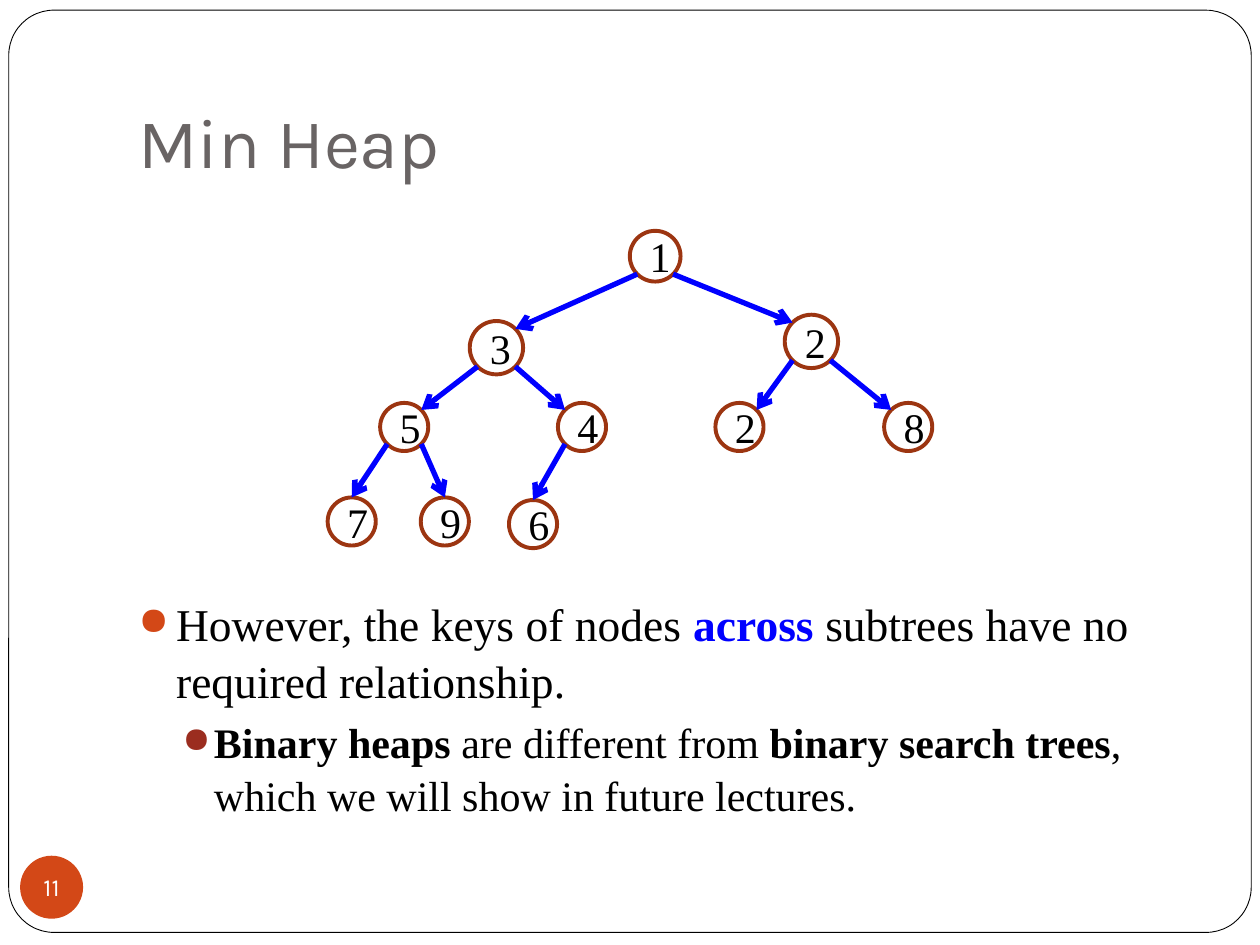
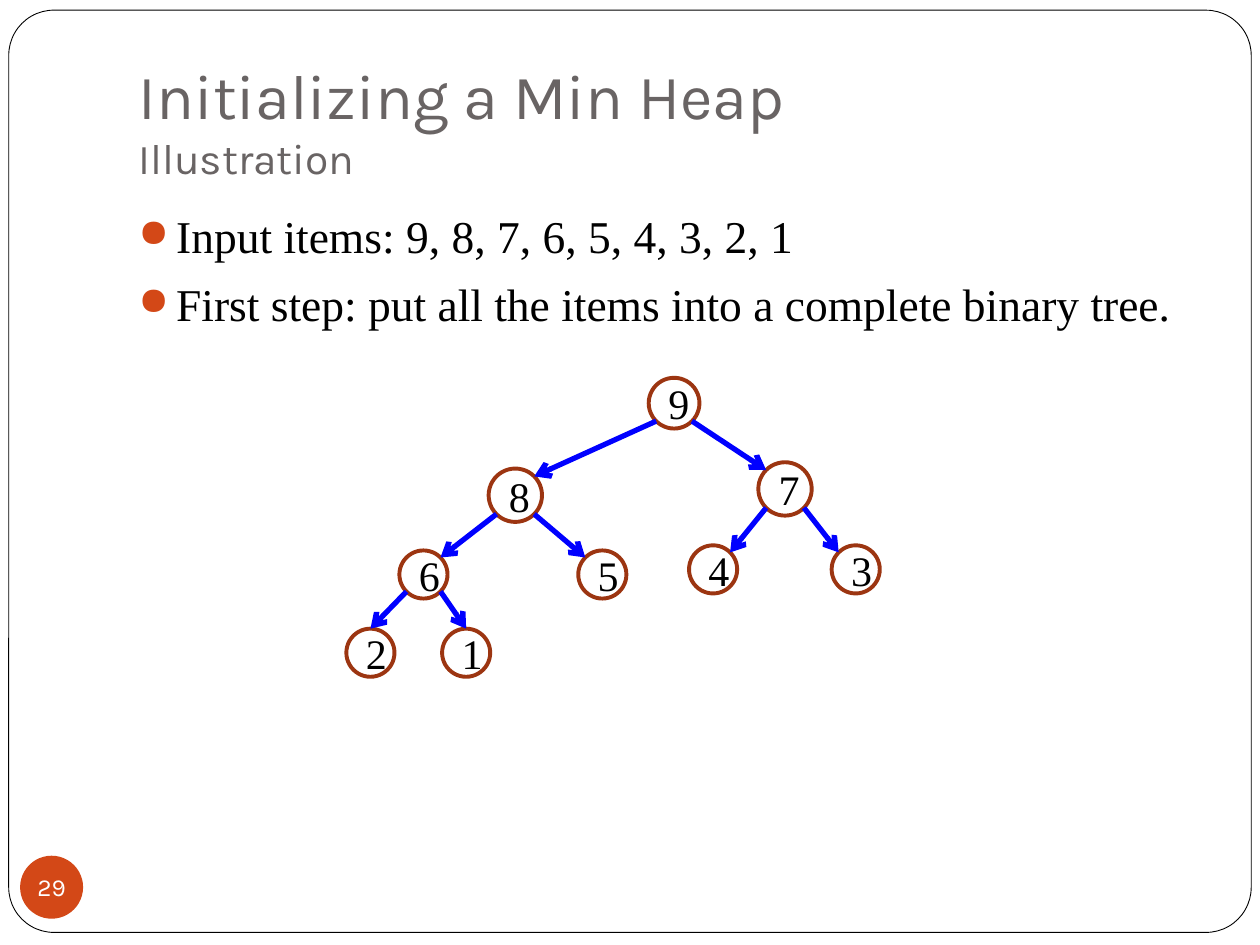
from collections import namedtuple
from dataclasses import dataclass
from math import sqrt

from lxml.etree import SubElement
from pptx import Presentation
from pptx.dml.color import RGBColor as Rgb
from pptx.enum.shapes import MSO_CONNECTOR as Connector, MSO_SHAPE as Preset
from pptx.enum.text import MSO_ANCHOR as Anchor, MSO_AUTO_SIZE as AutoSize, PP_ALIGN as Align
from pptx.oxml.ns import qn
from pptx.util import Pt

Box = namedtuple("Box", "left top width height")
Node = namedtuple("Node", "key x y")
Bullet = namedtuple("Bullet", "margin hanging space size color")


@dataclass(frozen=True)
class Theme:
    heading_font: str = "Karla"
    body_font: str = "Times New Roman"
    white: str = "FFFFFF"
    black: str = "000000"
    heading: str = "696464"
    accent: str = "D34817"
    node_line: str = "9C3511"
    blue: str = "0000FF"
    title_size: float = 40
    long_title_size: float = 36
    subtitle_size: float = 24.3
    key_size: float = 24
    number_size: float = 14
    line_spacing: float = 1.05
    bullets: tuple = (
        Bullet(21.6, 21.6, 5.8, 26, "D34817"),
        Bullet(43.2, 18, 3.7, 24, "9B2D1F"),
    )
    node_sizes: tuple = (29, 30.5, 27.5, 27.5)


THEME = Theme()
FRAME = Box(5, 5.8, 710, 527)
TITLE = Box(72, 21.6, 612, 90)
BADGE = Box(11.5, 489, 36, 36)


def apply(target, **values):
    for name, value in values.items():
        setattr(target, name, value)


def in_points(box):
    return [Pt(value) for value in box]


def add_run(paragraph, text, font_name, size, color, bold=False):
    run = paragraph.add_run()
    run.text = text
    apply(run.font, name=font_name, size=Pt(size), bold=bold)
    run.font.color.rgb = Rgb.from_string(color)


def add_preset(shapes, preset, box, fill=None, line=None, line_width=0):
    shape = shapes.add_shape(preset, *in_points(box))
    shape.shadow.inherit = False
    for form, color in ((shape.fill, fill), (shape.line.fill, line)):
        if color:
            form.solid()
            form.fore_color.rgb = Rgb.from_string(color)
        else:
            form.background()
    if line:
        shape.line.width = Pt(line_width)
    return shape


def add_frame(slide, box):
    frame = add_preset(slide.shapes, Preset.ROUNDED_RECTANGLE, box,
                       THEME.white, THEME.black, 0.5)
    frame.adjustments[0] = 0.049
    slide.shapes.title._element.addprevious(frame._element)


def set_title(slide, box, lines):
    title = slide.shapes.title
    apply(title, **dict(zip(box._fields, in_points(box))))
    apply(title.text_frame, auto_size=AutoSize.NONE, word_wrap=True,
          vertical_anchor=Anchor.BOTTOM, margin_left=Pt(7.2), margin_right=Pt(7.2),
          margin_top=Pt(3.6), margin_bottom=Pt(7.2))
    paragraph = title.text_frame.paragraphs[0]
    paragraph.alignment = Align.LEFT
    for index, (text, size) in enumerate(lines):
        if index:
            paragraph.add_line_break()
        add_run(paragraph, text, THEME.heading_font, size, THEME.heading)


def add_badge(slide, box, number):
    badge = add_preset(slide.shapes, Preset.OVAL, box, THEME.accent)
    apply(badge.text_frame, word_wrap=False, vertical_anchor=Anchor.MIDDLE,
          margin_left=0, margin_right=0, margin_top=0, margin_bottom=0)
    paragraph = badge.text_frame.paragraphs[0]
    paragraph.alignment = Align.CENTER
    add_run(paragraph, str(number), THEME.heading_font, THEME.number_size, THEME.white)


def set_bullet(paragraph, bullet):
    properties = paragraph._p.get_or_add_pPr()
    properties.set("marL", str(Pt(bullet.margin)))
    properties.set("indent", str(-Pt(bullet.hanging)))
    color = SubElement(properties, qn("a:buClr"))
    SubElement(color, qn("a:srgbClr"), val=bullet.color)
    SubElement(properties, qn("a:buSzPct"), val="85000")
    SubElement(properties, qn("a:buChar"), char="●")


def add_body(slide, box, items):
    text_frame = slide.shapes.add_textbox(*in_points(box)).text_frame
    text_frame.word_wrap = True
    for index, (level, runs) in enumerate(items):
        paragraph = text_frame.add_paragraph() if index else text_frame.paragraphs[0]
        bullet = THEME.bullets[level]
        apply(paragraph, level=level, space_before=Pt(bullet.space),
              line_spacing=THEME.line_spacing)
        set_bullet(paragraph, bullet)
        for text, color, bold in runs:
            add_run(paragraph, text, THEME.body_font, bullet.size, color, bold)


def add_node(shapes, node, diameter):
    box = Box(node.x - diameter / 2, node.y - diameter / 2, diameter, diameter)
    circle = add_preset(shapes, Preset.OVAL, box, line=THEME.node_line, line_width=2.25)
    apply(circle.text_frame, word_wrap=True, vertical_anchor=Anchor.MIDDLE)
    paragraph = circle.text_frame.paragraphs[0]
    paragraph.alignment = Align.CENTER
    add_run(paragraph, str(node.key), THEME.body_font, THEME.key_size, THEME.black)


def add_arrow(shapes, start, end):
    arrow = shapes.add_connector(Connector.STRAIGHT, *in_points(start + end))
    arrow.line.color.rgb = Rgb.from_string(THEME.blue)
    arrow.line.width = Pt(3)
    SubElement(arrow.line._get_or_add_ln(), qn("a:tailEnd"), type="arrow")
    SubElement(arrow._element.spPr, qn("a:effectLst"))


def add_heap(slide, left, top, nodes):
    shapes = slide.shapes.add_group_shape().shapes
    placed = [Node(key, left + x, top + y) for key, x, y in nodes]
    levels = [(index + 1).bit_length() - 1 for index in range(len(placed))]
    for node, level in zip(placed, levels):
        add_node(shapes, node, THEME.node_sizes[level])
    for index in range(1, len(placed)):
        parent_index = (index - 1) // 2
        parent, child = placed[parent_index], placed[index]
        side = -1 if index % 2 else 1
        parent_offset = THEME.node_sizes[levels[parent_index]] / 2 / sqrt(2)
        radius = THEME.node_sizes[levels[index]] / 2
        start = (parent.x + side * parent_offset, parent.y + parent_offset)
        if levels[index] == 3:
            end = (child.x, child.y - radius)
        else:
            end = (child.x - side * radius / sqrt(2), child.y - radius / sqrt(2))
        add_arrow(shapes, start, end)


def add_heap_slide(presentation, number, title, body_box, items, heap_origin, nodes):
    slide = presentation.slides.add_slide(presentation.slide_layouts[5])
    add_frame(slide, FRAME)
    set_title(slide, TITLE, title)
    add_badge(slide, BADGE, number)
    add_body(slide, body_box, items)
    add_heap(slide, *heap_origin, nodes)


def main():
    presentation = Presentation()
    apply(presentation, slide_width=Pt(720), slide_height=Pt(540))
    black, blue = THEME.black, THEME.blue
    add_heap_slide(
        presentation, 11, [("Min Heap", THEME.title_size)],
        Box(72, 335.5, 612, 138),
        [
            (0, [("However, the keys of nodes ", black, False),
                 ("across ", blue, True),
                 ("subtrees have no required relationship.", black, False)]),
            (1, [("Binary heaps ", black, True),
                 ("are different from ", black, False),
                 ("binary search trees", black, True),
                 (", which we will show in future lectures.", black, False)]),
        ],
        (187, 132),
        [(1, 187.4, 14.4), (3, 96.7, 66.7), (2, 276.7, 63.1), (5, 44, 112),
         (4, 145.6, 112), (2, 235.6, 112), (8, 332, 112), (7, 14, 166),
         (9, 67.2, 166), (6, 117.6, 167.5)],
    )
    add_heap_slide(
        presentation, 29,
        [("Initializing a Min Heap", THEME.long_title_size),
         ("Illustration", THEME.subtitle_size)],
        Box(72, 113.8, 612, 360),
        [
            (0, [("Input items: 9, 8, 7, 6, 5, 4, 3, 2, 1", black, False)]),
            (0, [("First step: put all the items into a complete binary tree.",
                  black, False)]),
        ],
        (198, 216),
        [(9, 187.2, 14.4), (8, 96.5, 67), (7, 250.6, 63.4), (6, 44, 112.3),
         (5, 146.2, 112.3), (4, 209.5, 109.4), (3, 291, 109.4), (2, 13.7, 157),
         (1, 68.4, 157)],
    )
    presentation.save("out.pptx")


if __name__ == "__main__":
    main()
